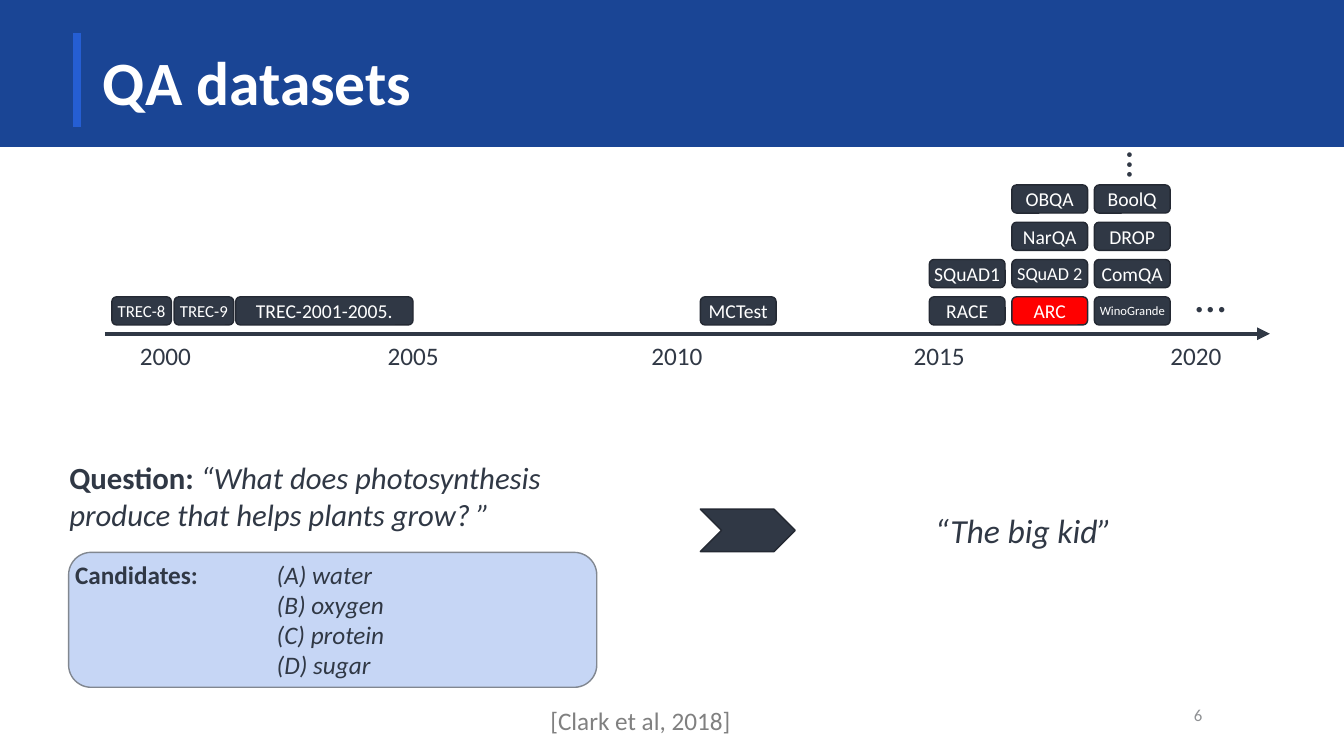
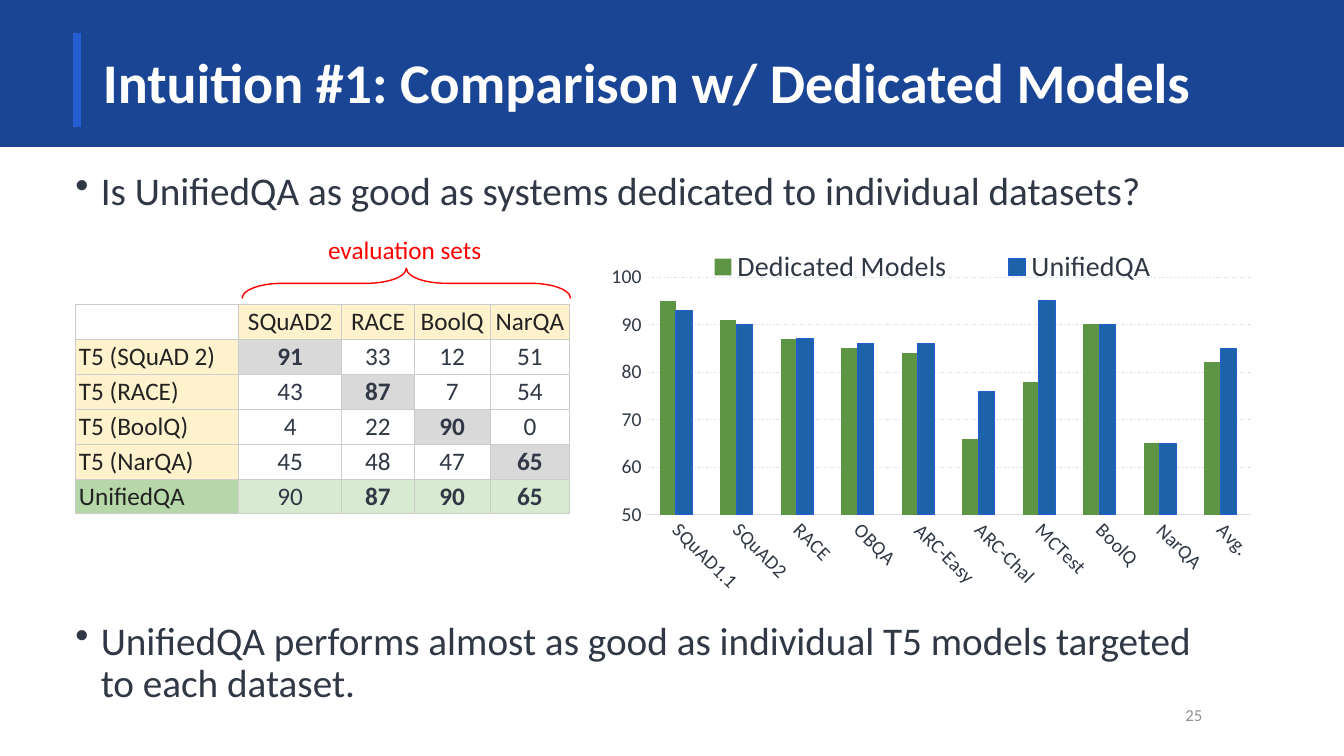
from lxml.etree import SubElement
from pptx import Presentation
from pptx.chart.data import CategoryChartData
from pptx.dml.color import RGBColor
from pptx.enum.chart import XL_CHART_TYPE as ChartType, XL_LEGEND_POSITION as LegendPosition
from pptx.enum.chart import XL_TICK_MARK as TickMark
from pptx.enum.dml import MSO_LINE_DASH_STYLE as Dash
from pptx.enum.shapes import MSO_CONNECTOR as Connector, MSO_SHAPE as Shape
from pptx.enum.text import MSO_ANCHOR as Anchor, MSO_AUTO_SIZE as AutoSize, PP_ALIGN as Align
from pptx.oxml import parse_xml
from pptx.oxml.ns import nsdecls, qn
from pptx.util import Cm, Pt

# Shared look
FONT = "Calibri"
WHITE = RGBColor(0xFF, 0xFF, 0xFF)
BAND = RGBColor(0x1A, 0x45, 0x95)
ACCENT = RGBColor(0x25, 0x5E, 0xD3)
INK = RGBColor(0x30, 0x38, 0x45)
INK_EDGE = RGBColor(0x24, 0x29, 0x33)
RED = RGBColor(0xFF, 0x00, 0x00)
GRAY = RGBColor(0x80, 0x80, 0x80)
NUMBER_GRAY = RGBColor(0x8F, 0x91, 0x94)
PANEL = RGBColor(0xC6, 0xD6, 0xF5)
PANEL_EDGE = RGBColor(0x81, 0x87, 0x90)
HEADING = RGBColor(0x22, 0x22, 0x22)
CREAM = RGBColor(0xFF, 0xF2, 0xCC)
DIAGONAL = RGBColor(0xD9, 0xD9, 0xD9)
LEAF = RGBColor(0xB6, 0xD7, 0xA8)
PALE_LEAF = RGBColor(0xD9, 0xEA, 0xD3)
BAR_GREEN = RGBColor(0x5D, 0x95, 0x44)
BAR_BLUE = RGBColor(0x1C, 0x63, 0xAA)
GRID = RGBColor(0xDC, 0xE0, 0xE7)

NO_MARGINS = dict(margin_left=0, margin_top=0, margin_right=0, margin_bottom=0)


# Helpers
def apply(target, values):
    for name, value in values.items():
        setattr(target, name, value)


def set_font(font, size, color=INK, **values):
    apply(font, {"name": FONT, "size": Pt(size), **values})
    font.color.rgb = color


def add_run(paragraph, text, size, color=INK, **values):
    run = paragraph.add_run()
    run.text = text
    set_font(run.font, size, color, **values)


def set_indent(paragraph, left, first, tab=None):
    properties = paragraph._p.get_or_add_pPr()
    properties.set("marL", str(Cm(left)))
    properties.set("indent", str(Cm(first)))
    if tab:
        stops = SubElement(properties, qn("a:tabLst"))
        SubElement(stops, qn("a:tab"), pos=str(Cm(tab)), algn="l")


def add_text(slide, box, text, size, color=INK, align=Align.LEFT, wrap=True, **values):
    shape = slide.shapes.add_textbox(*map(Cm, box))
    shape.text_frame.word_wrap = wrap
    paragraph = shape.text_frame.paragraphs[0]
    paragraph.alignment = align
    add_run(paragraph, text, size, color, **values)
    return shape


def add_shape(slide, kind, box, fill=None, edge=None):
    shape = slide.shapes.add_shape(kind, *map(Cm, box))
    shape.shadow.inherit = False
    if fill is None:
        shape.fill.background()
    else:
        shape.fill.solid()
        shape.fill.fore_color.rgb = fill
    shape.line.color.rgb = edge
    shape.line.width = Pt(1)
    return shape


def add_chip(slide, box, text, size=14, fill=INK):
    chip = add_shape(slide, Shape.ROUNDED_RECTANGLE, box, fill, INK_EDGE)
    apply(chip.text_frame, {**NO_MARGINS, "vertical_anchor": Anchor.MIDDLE})
    paragraph = chip.text_frame.paragraphs[0]
    paragraph.alignment = Align.CENTER
    add_run(paragraph, text, size, WHITE)


def add_arrow(slide, left, right, y):
    arrow = slide.shapes.add_connector(Connector.STRAIGHT, Cm(left), Cm(y), Cm(right), Cm(y))
    arrow.line.color.rgb = INK
    arrow.line.width = Pt(3)
    line = arrow.element.xpath(".//a:ln")[0]
    SubElement(line, qn("a:tailEnd"), type="triangle")
    SubElement(line.getparent(), qn("a:effectLst"))


def add_bullet(slide, top, text):
    shape = slide.shapes.add_textbox(Cm(1.65), Cm(top), Cm(29.21), Cm(1.4))
    shape.text_frame.word_wrap = True
    paragraph = shape.text_frame.paragraphs[0]
    paragraph.line_spacing = 0.9
    set_indent(paragraph, 0.64, -0.64)
    SubElement(paragraph._p.pPr, qn("a:buChar"), char="•")
    add_run(paragraph, text, 28)


# Shared frame
def add_bands(layout, slide):
    """Draw the title band and its accent bar, then hand them to the layout."""
    bands = [((0, 0, 33.87, 3.68), BAND), ((1.83, 0.81, 0.23, 2.41), ACCENT)]
    for index, (box, color) in enumerate(bands):
        band = add_shape(slide, Shape.RECTANGLE, box, color, BAND)
        band.element.xpath(".//p:cNvPr")[0].set("id", str(100 + index))
        layout.shapes.element.insert(2 + index, band.element)


def add_titled_slide(presentation, layout, title, size, number):
    slide = presentation.slides.add_slide(layout)
    shape = slide.shapes.title
    apply(shape, dict(left=Cm(2.34), top=Cm(0.81), width=Cm(29.21), height=Cm(2.67)))
    apply(shape.text_frame, dict(auto_size=AutoSize.NONE, vertical_anchor=Anchor.MIDDLE))
    paragraph = shape.text_frame.paragraphs[0]
    apply(paragraph, dict(alignment=Align.LEFT, line_spacing=0.9))
    add_run(paragraph, title, size, WHITE, bold=True)
    label = add_text(slide, (29.08, 17.5, 1.47, 1.01), number, 12, NUMBER_GRAY, Align.RIGHT)
    label.text_frame.vertical_anchor = Anchor.MIDDLE
    return slide


# Slide: QA datasets
def add_timeline(slide):
    add_arrow(slide, 2.64, 32, 8.41)
    years = {"2000": 4.17, "2005": 10.41, "2010": 17.06, "2015": 23.67, "2020": 30.14}
    for year, center in years.items():
        add_text(slide, (center - 1.25, 8.44, 2.5, 1.02), year, 18, align=Align.CENTER)

    # Each column holds its left, its width and its chips from the axis upwards
    columns = [
        (2.82, 1.5, [("TREC-8", 12)]),
        (4.39, 1.5, [("TREC-9", 12)]),
        (5.94, 4.47, [("TREC-2001-2005.",)]),
        (17.65, 1.91, [("MCTest",)]),
        (23.42, 1.91, [("RACE",), ("SQuAD1",)]),
        (25.5, 1.91, [("ARC", 14, RED), ("SQuAD 2", 13), ("NarQA",), ("OBQA",)]),
        (27.58, 1.91, [("WinoGrande", 9), ("ComQA",), ("DROP",), ("BoolQ",)]),
    ]
    for left, width, chips in columns:
        for level, chip in enumerate(chips):
            add_chip(slide, (left, 7.48 - 0.94 * level, width, 0.71), *chip)

    add_text(slide, (29.87, 6.63, 1.42, 1.63), "…", 32, wrap=False)
    dots = add_text(slide, (27.48, 3.38, 1.3, 1.45), "…", 28, wrap=False)
    dots.rotation = 270


def add_candidates(slide):
    panel = add_shape(slide, Shape.FLOWCHART_ALTERNATE_PROCESS,
                      (1.73, 13.92, 13.31, 3.4), PANEL, PANEL_EDGE)
    frame = panel.text_frame
    apply(frame, {**NO_MARGINS, "vertical_anchor": Anchor.TOP})
    answers = ["(A) water", "(B) oxygen", "(C) protein", "(D) sugar"]
    answer_left = 5.08
    for index, answer in enumerate(answers):
        paragraph = frame.add_paragraph() if index else frame.paragraphs[0]
        paragraph.alignment = Align.LEFT
        if index:
            set_indent(paragraph, answer_left, 0)
        else:
            set_indent(paragraph, answer_left, -answer_left, tab=answer_left)
            add_run(paragraph, "Candidates:\t", 18, bold=True)
        add_run(paragraph, answer, 18, italic=True)


def build_datasets(slide):
    add_timeline(slide)
    question = add_text(slide, (1.5, 11.43, 14.66, 2.13), "Question: ", 22, bold=True)
    add_run(question.text_frame.paragraphs[0],
            "“What does photosynthesis produce that helps plants grow? ”", 22, italic=True)
    add_candidates(slide)
    add_shape(slide, Shape.CHEVRON, (17.65, 12.83, 2.39, 1.07), INK, INK_EDGE)
    add_text(slide, (23.06, 12.73, 5.46, 1.27), "“The big kid”", 24,
             align=Align.CENTER, italic=True)
    add_text(slide, (7.67, 17.65, 16.94, 1.02), "[Clark et al, 2018]", 18, GRAY, Align.CENTER)


# Slide: comparison with dedicated models
def set_borders(cell):
    properties = cell._tc.get_or_add_tcPr()
    for index, side in enumerate(("lnL", "lnR", "lnT", "lnB")):
        properties.insert(index, parse_xml(
            f'<a:{side} {nsdecls("a")} w="9525"><a:solidFill>'
            f'<a:srgbClr val="CCCCCC"/></a:solidFill></a:{side}>'))


def cell_fill(row, column, last_row):
    if row == column == 0:
        return WHITE
    if row == last_row:
        return PALE_LEAF if column else LEAF
    if row == 0 or column == 0:
        return CREAM
    return DIAGONAL if row == column else None


def add_score_table(slide):
    rows = [
        ["", "SQuAD2", "RACE", "BoolQ", "NarQA"],
        ["T5 (SQuAD 2)", "91", "33", "12", "51"],
        ["T5 (RACE)", "43", "87", "7", "54"],
        ["T5 (BoolQ)", "4", "22", "90", "0"],
        ["T5 (NarQA)", "45", "48", "47", "65"],
        ["UnifiedQA", "90", "87", "90", "65"],
    ]
    widths = [4.11, 2.59, 1.83, 1.91, 2.01]
    last_row = len(rows) - 1
    table = slide.shapes.add_table(len(rows), len(widths), Cm(1.91), Cm(7.67),
                                   Cm(sum(widths)), Cm(0.88 * len(rows))).table
    apply(table, dict(first_row=False, horz_banding=False))
    for column, width in zip(table.columns, widths):
        column.width = Cm(width)
    for r, texts in enumerate(rows):
        table.rows[r].height = Cm(0.88)
        for c, text in enumerate(texts):
            cell = table.cell(r, c)
            apply(cell, dict(margin_left=Cm(0.08), margin_right=Cm(0.08), margin_top=Cm(0.05),
                             margin_bottom=Cm(0.05), vertical_anchor=Anchor.BOTTOM))
            fill = cell_fill(r, c, last_row)
            if fill is None:
                cell.fill.background()
            else:
                cell.fill.solid()
                cell.fill.fore_color.rgb = fill
            set_borders(cell)
            if text:
                paragraph = cell.text_frame.paragraphs[0]
                paragraph.alignment = Align.CENTER if c else Align.LEFT
                best = r > 0 and c > 0 and (r == c or (r == last_row and c > 1))
                add_run(paragraph, text, 18, INK if r and c else HEADING, bold=best)


def set_chart_layout(parent, index, x, y, w, h, inner=False):
    for layout in parent.xpath("c:layout"):
        parent.remove(layout)
    settings = [("layoutTarget", "inner")] if inner else []
    settings += [("xMode", "edge"), ("yMode", "edge"), ("x", x), ("y", y), ("w", w), ("h", h)]
    body = "".join(f'<c:{name} val="{value}"/>' for name, value in settings)
    parent.insert(index, parse_xml(
        f'<c:layout {nsdecls("c")}><c:manualLayout>{body}</c:manualLayout></c:layout>'))


def add_score_chart(slide):
    data = CategoryChartData()
    data.categories = ["SQuAD1.1", "SQuAD2", "RACE", "OBQA", "ARC-Easy",
                       "ARC-Chal", "MCTest", "BoolQ", "NarQA", "Avg."]
    data.add_series("Dedicated Models", [95, 91, 87, 85, 84, 66, 78, 90, 65, 82])
    data.add_series("UnifiedQA", [93, 90, 87, 86, 86, 76, 95, 90, 65, 85])
    chart = slide.shapes.add_chart(ChartType.COLUMN_CLUSTERED, Cm(15.37), Cm(6.05),
                                   Cm(16.43), Cm(9.68), data).chart
    apply(chart, dict(has_title=False, has_legend=True))
    set_font(chart.font, 10)
    apply(chart.legend, dict(position=LegendPosition.TOP, include_in_layout=False))
    set_font(chart.legend.font, 20)

    plot = chart.plots[0]
    apply(plot, dict(gap_width=175, overlap=0, vary_by_categories=False))
    for series, color in zip(plot.series, (BAR_GREEN, BAR_BLUE)):
        series.format.fill.solid()
        series.format.fill.fore_color.rgb = color
    series.format.line.color.rgb = ACCENT
    series.format.line.width = Pt(0.75)

    for axis in (chart.category_axis, chart.value_axis):
        apply(axis, dict(major_tick_mark=TickMark.NONE, minor_tick_mark=TickMark.NONE))
        set_font(axis.tick_labels.font, 14)
    chart.category_axis.format.line.color.rgb = GRID
    chart.category_axis.format.line.width = Pt(0.75)
    apply(chart.value_axis, dict(minimum_scale=50, maximum_scale=100, major_unit=10))
    chart.value_axis.format.line.fill.background()
    grid_line = chart.value_axis.major_gridlines.format.line
    grid_line.color.rgb = GRID
    apply(grid_line, dict(width=Pt(0.5), dash_style=Dash.DASH_DOT))

    # Slanted category labels, fixed plot and legend areas
    chart.element.xpath(".//c:catAx/c:txPr/a:bodyPr")[0].set("rot", "2700000")
    set_chart_layout(chart.element.xpath(".//c:plotArea")[0], 0, 0.055, 0.096, 0.928, 0.619, True)
    set_chart_layout(chart.element.xpath(".//c:legend")[0], 1, 0.08, 0.02, 0.83, 0.1)


def build_comparison(slide):
    add_bullet(slide, 4.19, "Is UnifiedQA as good as systems dedicated to individual datasets?")
    add_bullet(slide, 15.53, "UnifiedQA performs almost as good as individual T5 models "
                             "targeted to each dataset.")
    add_score_table(slide)
    add_score_chart(slide)
    brace = add_shape(slide, Shape.LEFT_BRACE, (9.86, 3, 0.76, 8.28), edge=RED)
    brace.adjustments[0] = 1.32
    brace.rotation = 90
    add_text(slide, (6.2, 5.79, 8, 1.02), "evaluation sets", 18, RED, Align.CENTER)


def main():
    presentation = Presentation()
    apply(presentation, dict(slide_width=Cm(33.87), slide_height=Cm(19.05)))
    layout = presentation.slide_layouts[5]
    datasets = add_titled_slide(presentation, layout, "QA datasets", 44, "6")
    add_bands(layout, datasets)
    build_datasets(datasets)
    comparison = add_titled_slide(presentation, layout,
                                  "Intuition #1: Comparison w/ Dedicated Models", 40, "25")
    build_comparison(comparison)
    presentation.save("out.pptx")


if __name__ == "__main__":
    main()
